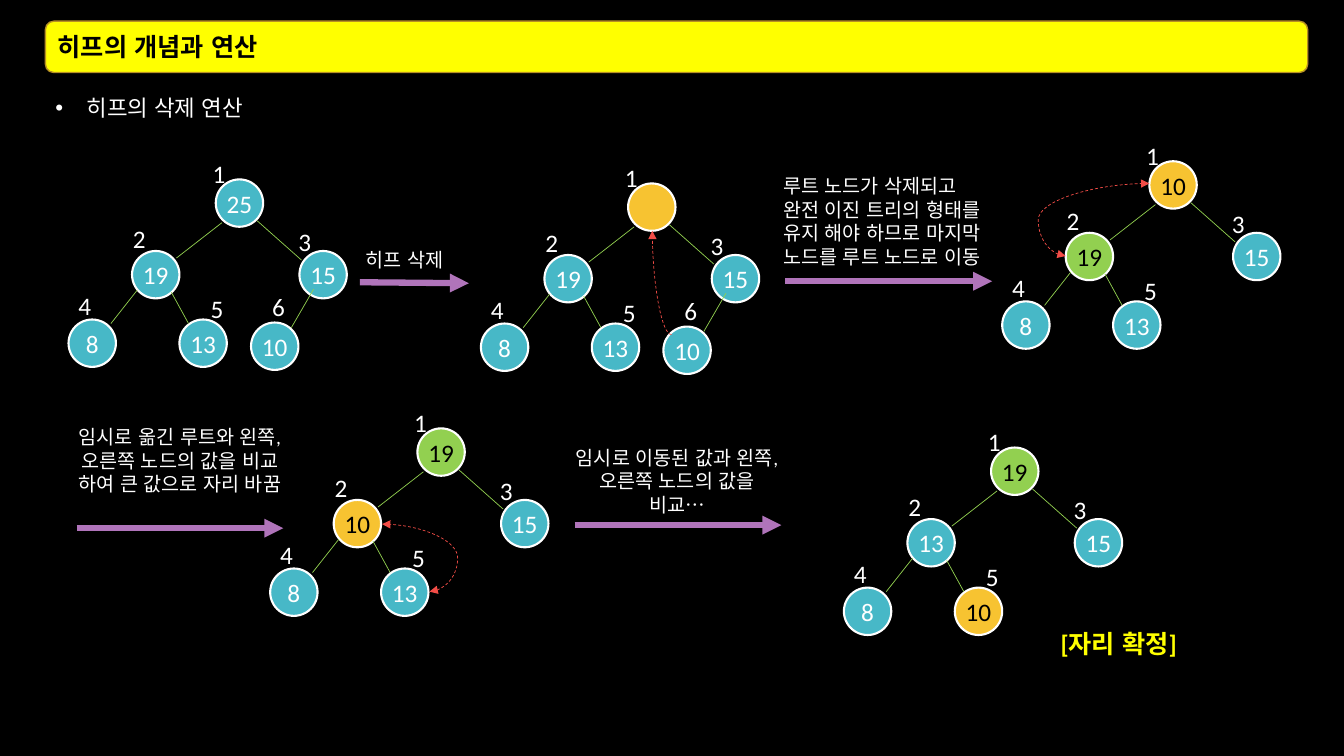
from lxml import etree
from pptx import Presentation
from pptx.dml.color import RGBColor
from pptx.enum import dml, lang, shapes, text
from pptx.oxml import ns
from pptx.util import Inches, Pt

BLACK, WHITE, YELLOW = "000000", "FFFFFF", "FFFF00"
TEAL, AMBER, GREEN = "47B8C7", "F7C331", "92D050"
PURPLE, RED, GOLD = "B074BA", "F34D47", "B79024"
LEFT, CENTER = text.PP_ALIGN.LEFT, text.PP_ALIGN.CENTER
LINE, CURVE = shapes.MSO_CONNECTOR.STRAIGHT, shapes.MSO_CONNECTOR.CURVE


def ink(fill, color):
    """Make the fill of a shape, line or font one solid colour."""
    fill.solid()
    fill.fore_color.rgb = RGBColor.from_string(color)


def write(shape, words, size, color, align=LEFT, bold=False):
    frame = shape.text_frame
    frame.word_wrap = True
    para = frame.paragraphs[0]
    para.alignment = align
    run = para.add_run()
    run.text = words
    run.font.name = "Calibri"
    run.font.size = Pt(size)
    run.font.bold = bold
    run.font.language_id = lang.MSO_LANGUAGE_ID.KOREAN
    ink(run.font.fill, color)
    return para


deck = Presentation()
deck.slide_width, deck.slide_height = Inches(13.33), Inches(7.5)
slide = deck.slides.add_slide(deck.slide_layouts[6])
ink(slide.background.fill, BLACK)

# Body panel and title bar
panels = []
for kind, box, color, edge in [
    ("RECTANGLE", (0.45, 0.75, 12.48, 6.46), BLACK, BLACK),
    ("ROUNDED_RECTANGLE", (0.45, 0.21, 12.52, 0.51), YELLOW, GOLD),
]:
    panel = slide.shapes.add_shape(shapes.MSO_SHAPE[kind], *map(Inches, box))
    panel.shadow.inherit = False
    ink(panel.fill, color)
    ink(panel.line.fill, edge)
    panel.line.width = Pt(1)
    panels.append(panel)
body, title = panels

title.text_frame.vertical_anchor = text.MSO_ANCHOR.MIDDLE
write(title, "히프의 개념과 연산", 18, BLACK, bold=True)

body.text_frame.vertical_anchor = text.MSO_ANCHOR.TOP
topic = write(body, "히프의 삭제 연산", 16, WHITE)
topic.line_spacing = 1.5
props = topic._p.get_or_add_pPr()
props.set("marL", str(Inches(0.31)))
props.set("indent", str(-Inches(0.31)))
etree.SubElement(props, ns.qn("a:buFont")).set("typeface", "Arial")
etree.SubElement(props, ns.qn("a:buChar")).set("char", "•")

# Places inside a tree, measured from the top left of its root:
# node, index label, edge from the parent
SIZE = 0.47
SPOTS = [
    ((0, 0), (-0.13, -0.26), None),
    ((-0.83, 0.71), (-0.92, 0.39), (0.06, 0.43, -0.39, 0.78)),
    ((0.83, 0.71), (0.72, 0.42), (0.41, 0.41, 0.85, 0.8)),
    ((-1.46, 1.39), (-1.46, 1.05), (-0.78, 1.1, -1.04, 1.43)),
    ((-0.36, 1.39), (-0.15, 1.08), (-0.44, 1.12, -0.27, 1.43)),
    ((0.35, 1.42), (0.46, 1.06), (0.97, 1.09, 0.75, 1.47)),
]
# Root place, values in heap order, nodes with a special colour
TREES = [
    (2.14, 1.78, ["25", "19", "15", "8", "13", "10"], {}),
    (6.23, 1.82, ["", "19", "15", "8", "13", "10"], {1: AMBER}),
    (11.4, 1.6, ["10", "19", "15", "8", "13"], {1: AMBER, 2: GREEN}),
    (4.14, 4.25, ["19", "10", "15", "8", "13"], {1: GREEN, 2: AMBER}),
    (9.83, 4.44, ["19", "13", "15", "8", "10"], {1: GREEN, 5: AMBER}),
]
links = []  # parent shapes, kind, ends, colour, width, arrowheads, bend
for x, y, values, marks in TREES:
    tree = slide.shapes.add_group_shape().shapes
    for index, (value, (spot, label, edge)) in enumerate(zip(values, SPOTS), 1):
        node = tree.add_shape(
            shapes.MSO_SHAPE.OVAL, Inches(x + spot[0]), Inches(y + spot[1]),
            Inches(SIZE), Inches(SIZE))
        node.shadow.inherit = False
        ink(node.fill, marks.get(index, TEAL))
        ink(node.line.fill, WHITE)
        node.line.width = Pt(1.5)
        frame = node.text_frame
        frame.margin_left = frame.margin_right = 0
        frame.margin_top = frame.margin_bottom = 0
        frame.vertical_anchor = text.MSO_ANCHOR.MIDDLE
        if value:
            write(node, value, 18, BLACK if index in marks else WHITE, CENTER)
        tag = tree.add_textbox(
            Inches(x + label[0]), Inches(y + label[1]), Inches(0.31), Inches(0.4))
        write(tag, str(index), 18, WHITE)
        if edge:
            ends = (x + edge[0], y + edge[1], x + edge[2], y + edge[3])
            links.append((tree, LINE, ends, GREEN, 0.5, [], None))

# Step arrows
for ends in [
    (3.57, 2.8, 4.65, 2.81),
    (7.79, 2.79, 9.84, 2.79),
    (0.76, 5.24, 2.81, 5.24),
    (5.7, 5.21, 7.75, 5.21),
]:
    links.append((slide.shapes, LINE, ends, PURPLE, 4.5, ["tailEnd"], None))

# Moves and swaps; a bend is the adjustment of the curve, 0 for a quarter turn
both = ["headEnd", "tailEnd"]
for ends, heads, bend in [
    ((6.66, 3.32, 6.47, 2.29), ["tailEnd"], 0),
    ((10.57, 2.54, 11.4, 1.82), both, -32800),
    ((4.26, 5.87, 3.79, 5.2), both, -59500),
]:
    links.append((slide.shapes, CURVE, ends, RED, 0.5, heads, bend))

for parent, kind, ends, color, width, heads, bend in links:
    link = parent.add_connector(kind, *map(Inches, ends))
    ink(link.line.fill, color)
    link.line.width = Pt(width)
    if kind == CURVE:
        link.line.dash_style = dml.MSO_LINE.DASH
        shape = link._element.spPr.find(ns.qn("a:prstGeom"))
        if bend:
            guide = etree.SubElement(shape.find(ns.qn("a:avLst")), ns.qn("a:gd"))
            guide.set("name", "adj1")
            guide.set("fmla", f"val {bend}")
        else:
            shape.set("prst", "curvedConnector2")
    for head in heads:
        etree.SubElement(link.line._ln, ns.qn(f"a:{head}")).set("type", "triangle")
    etree.SubElement(link._element.spPr, ns.qn("a:effectLst"))

# Notes
for box, words, size, color, align, bold in [
    ((3.53, 2.41, 1.13, 0.34), "히프 삭제", 14, WHITE, LEFT, False),
    ((7.67, 1.68, 2.28, 1.04),
     "루트 노드가 삭제되고 완전 이진 트리의 형태를 유지 해야 하므로 마지막 노드를 루트 노드로 이동",
     14, WHITE, LEFT, False),
    ((0.66, 4.17, 2.25, 1.04),
     "임시로 옮긴 루트와 왼쪽, 오른쪽 노드의 값을 비교 하여 큰 값으로 자리 바꿈",
     14, WHITE, CENTER, False),
    ((5.59, 4.37, 2.25, 0.81),
     "임시로 이동된 값과 왼쪽, 오른쪽 노드의 값을 비교…",
     14, WHITE, CENTER, False),
    ((9.97, 6.18, 2.25, 0.4), "[자리 확정]", 18, YELLOW, CENTER, True),
]:
    note = slide.shapes.add_textbox(*map(Inches, box))
    write(note, words, size, color, align, bold)

deck.save("out.pptx")
